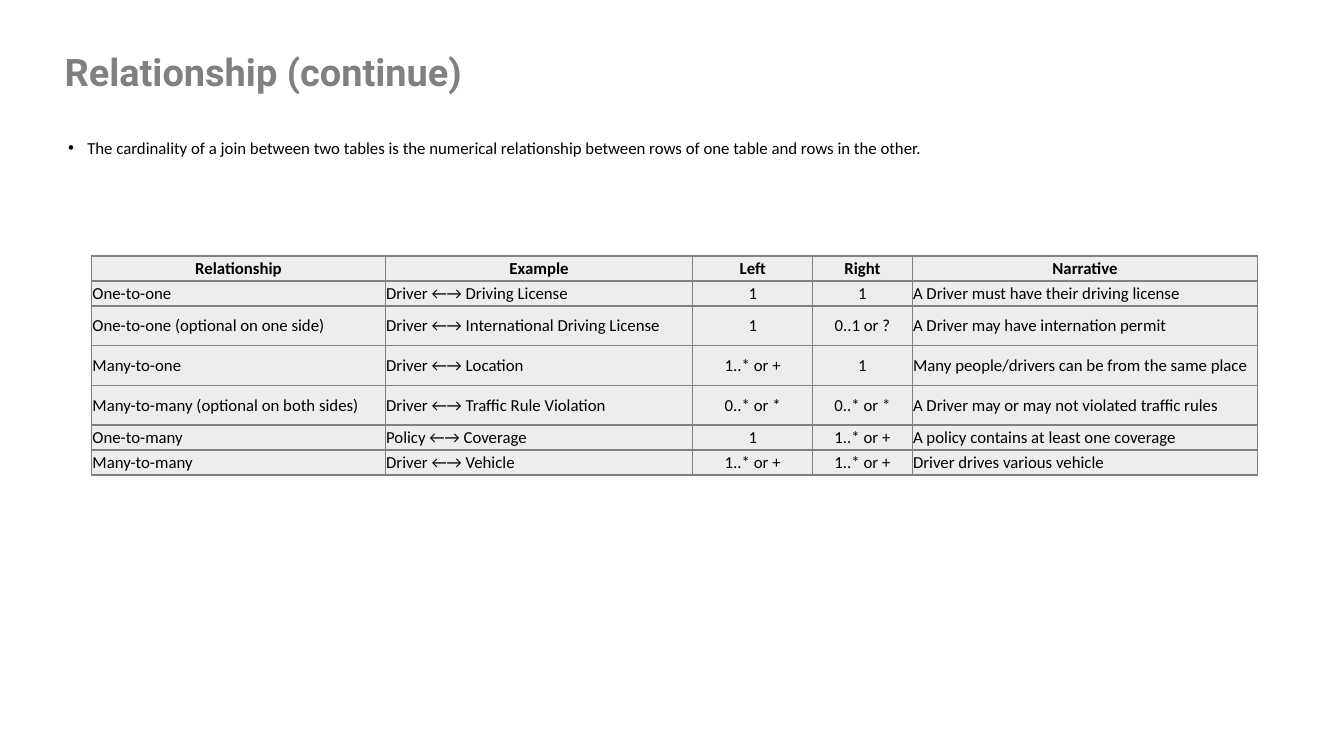
from dataclasses import dataclass

from lxml.etree import SubElement
from pptx import Presentation
from pptx.dml.color import RGBColor
from pptx.enum.text import MSO_ANCHOR, PP_ALIGN
from pptx.oxml.ns import qn
from pptx.util import Cm, Pt


@dataclass(frozen=True)
class Theme:
    gray: str = "808080"
    black: str = "000000"
    cell: str = "EDEDED"
    title_font: str = "Roboto"
    body_font: str = "Calibri"
    title_size: float = 27.1
    body_size: float = 12
    border: float = 1


theme = Theme()


def add_run(p, text, font, size, color, bold=False):
    r = p.add_run()
    r.text = text
    r.font.name = font
    r.font.size = Pt(size)
    r.font.bold = bold
    r.font.color.rgb = RGBColor.from_string(color)


def add_border(tc_pr, side):
    ln = SubElement(tc_pr, qn(f"a:ln{side}"), w=str(Pt(theme.border)))
    fill = SubElement(ln, qn("a:solidFill"))
    SubElement(fill, qn("a:srgbClr"), val=theme.gray)


prs = Presentation()
prs.slide_width, prs.slide_height = Cm(33.87), Cm(19.05)
s = prs.slides.add_slide(prs.slide_layouts[6])

# Title
tf = s.shapes.add_textbox(Cm(1.63), Cm(1.4), Cm(30.05), Cm(1.27)).text_frame
tf.word_wrap = True
tf.margin_left = tf.margin_right = tf.margin_top = tf.margin_bottom = 0
p = tf.paragraphs[0]
p.line_spacing = 0.85
add_run(p, "Relationship (continue)", theme.title_font, theme.title_size, theme.gray, bold=True)

# Bullet
tf = s.shapes.add_textbox(Cm(1.47), Cm(3.35), Cm(30.48), Cm(0.77)).text_frame
tf.word_wrap = True
p = tf.paragraphs[0]
p_pr = p._p.get_or_add_pPr()
p_pr.set("marL", str(Cm(0.48)))
p_pr.set("indent", str(-Cm(0.48)))
SubElement(p_pr, qn("a:buFont"), typeface="Arial")
SubElement(p_pr, qn("a:buChar"), char="•")
add_run(p, "The cardinality of a join between two tables is the numerical relationship "
        "between rows of one table and rows in the other.",
        theme.body_font, theme.body_size, theme.black)

# Table content
rows = [
    ("Relationship", "Example", "Left", "Right", "Narrative"),
    ("One-to-one", "Driver ←→ Driving License", "1", "1",
     "A Driver must have their driving license"),
    ("One-to-one (optional on one side)", "Driver ←→ International Driving License",
     "1", "0..1 or ?", "A Driver may have internation permit"),
    ("Many-to-one", "Driver ←→ Location", "1..* or +", "1",
     "Many people/drivers can be from the same place"),
    ("Many-to-many (optional on both sides)", "Driver ←→ Traffic Rule Violation",
     "0..* or *", "0..* or *", "A Driver may or may not violated traffic rules"),
    ("One-to-many", "Policy ←→ Coverage", "1", "1..* or +",
     "A policy contains at least one coverage"),
    ("Many-to-many", "Driver ←→ Vehicle", "1..* or +", "1..* or +",
     "Driver drives various vehicle"),
]
col_widths = [7.4, 7.75, 3.02, 2.51, 8.71]
row_heights = [0.63, 0.63, 1, 1, 1, 0.63, 0.63]
centered_cols = (2, 3)

# Table grid
table = s.shapes.add_table(len(rows), len(col_widths), Cm(2.31), Cm(6.45),
                           Cm(sum(col_widths)), Cm(sum(row_heights))).table
table.first_row = table.horz_banding = False
for column, width in zip(table.columns, col_widths):
    column.width = Cm(width)
for row, height in zip(table.rows, row_heights):
    row.height = Cm(height)

# Table cells
for i, row in enumerate(rows):
    for j, text in enumerate(row):
        cell = table.cell(i, j)
        cell.margin_left = cell.margin_right = cell.margin_top = Cm(0.02)
        cell.margin_bottom = 0
        cell.vertical_anchor = MSO_ANCHOR.MIDDLE
        for side in "LRTB":
            add_border(cell._tc.get_or_add_tcPr(), side)
        cell.fill.solid()
        cell.fill.fore_color.rgb = RGBColor.from_string(theme.cell)
        p = cell.text_frame.paragraphs[0]
        is_header = i == 0
        p.alignment = PP_ALIGN.CENTER if is_header or j in centered_cols else PP_ALIGN.LEFT
        add_run(p, text, theme.body_font, theme.body_size, theme.black, bold=is_header)

prs.save("out.pptx")
